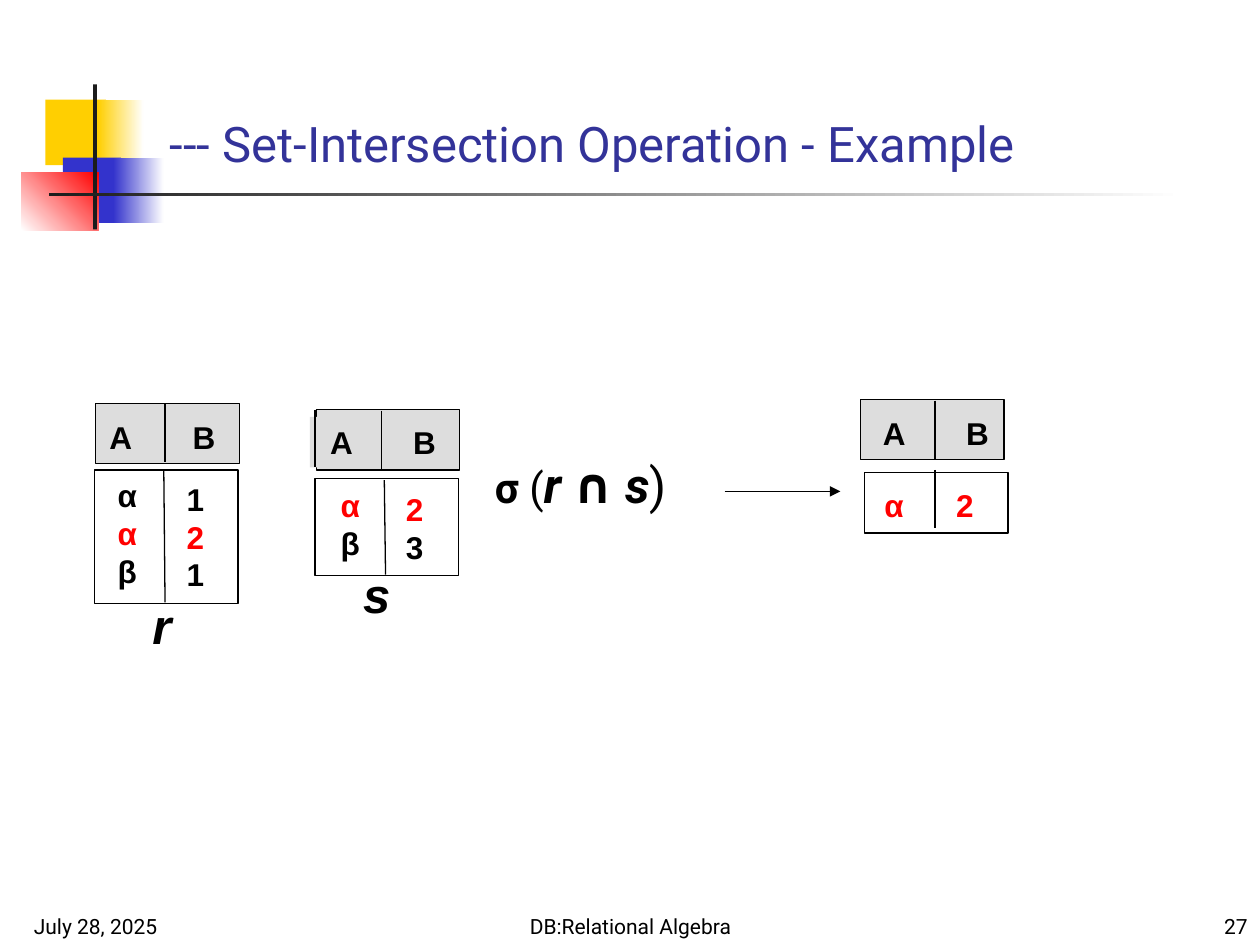
from lxml import etree
from pptx import Presentation
from pptx.dml.color import RGBColor
from pptx.enum import shapes, text
from pptx.oxml.ns import qn
from pptx.util import Inches, Pt

BLACK, WHITE, GRAY, RED = "000000", "FFFFFF", "DDDDDD", "FF0000"
YELLOW, BLUE, DARK, TITLE = "FFCF01", "3333CC", "1C1C1C", "333399"
LEFT, CENTER, RIGHT = text.PP_ALIGN.LEFT, text.PP_ALIGN.CENTER, text.PP_ALIGN.RIGHT
CELL_W, HEAD_H = 1.14, 0.48

# box, start colour, end colour (None for a solid fill), angle
ORNAMENTS = [
    ((0.36, 0.79, 0.48, 0.52), YELLOW, None, 0),
    ((0.78, 0.79, 0.36, 0.52), YELLOW, WHITE, 0),
    ((0.5, 1.25, 0.46, 0.52), BLUE, None, 0),
    ((0.9, 1.25, 0.4, 0.52), BLUE, WHITE, 0),
    ((0.17, 1.37, 0.61, 0.46), WHITE, RED, 45),
    ((0.74, 0.67, 0.03, 1.15), DARK, None, 0),
    ((0.39, 1.53, 9, 0.03), DARK, WHITE, 0),
]
FOOTERS = [
    ("July 28, 2025", 0.17, 2.08, LEFT),
    ("DB:Relational Algebra", 3.42, 3.17, CENTER),
    ("27", 7.92, 2.08, RIGHT),
]
# head and body corners, label box, left inset and divider position
RELATIONS = [
    dict(head=(0.76, 3.2), label=(0.77, 3.27, 1.04, 0.4), inset=0.1, divider=1.31,
         body=(0.75, 3.73), body_h=1.06,
         columns=[((0.83, 3.73, 0.36), [("α", BLACK), ("α", RED), ("β", BLACK)]),
                  ((1.38, 3.76, 0.34), [("1", BLACK), ("2", RED), ("1", BLACK)])],
         name=("r", (1.11, 4.68, 0.35, 0.57))),
    dict(head=(2.51, 3.25), label=(2.46, 3.31, 1.11, 0.4), inset=0.16, divider=3.03,
         body=(2.5, 3.8), body_h=0.77,
         columns=[((2.6, 3.81, 0.36), [("α", RED), ("β", BLACK)]),
                  ((3.12, 3.84, 0.34), [("2", RED), ("3", BLACK)])],
         name=("s", (2.78, 4.43, 0.42, 0.57))),
]
RESULT = dict(head=(6.83, 3.17), label=(6.91, 3.24, 1.04, 0.4), inset=0.1,
              divider=7.42, body=(6.86, 3.75), row=(6.92, 3.81, 0.91, 0.4))
# text, size, bold, italic
EXPRESSION = [("σ", 24, True, False), (" (", 24, False, False), ("r ", 28, True, True),
              ("∩ ", 28, True, False), ("s", 28, True, True), (")", 28, False, False)]

prs = Presentation()
prs.slide_width, prs.slide_height = Inches(10), Inches(7.5)
s = prs.slides.add_slide(prs.slide_layouts[6])


def rgb(color):
    return RGBColor.from_string(color)


def add_rect(box, fill, line=None):
    sp = s.shapes.add_shape(shapes.MSO_SHAPE.RECTANGLE, *map(Inches, box))
    sp.shadow.inherit = False
    sp.fill.solid()
    sp.fill.fore_color.rgb = rgb(fill)
    if line:
        sp.line.color.rgb = rgb(line)
        sp.line.width = Pt(0.75)
    else:
        sp.line.fill.background()
    return sp


def add_line(x1, y1, x2, y2, arrow=False):
    c = s.shapes.add_connector(shapes.MSO_CONNECTOR.STRAIGHT, *map(Inches, (x1, y1, x2, y2)))
    c.line.color.rgb = rgb(BLACK)
    c.line.width = Pt(0.75)
    if arrow:
        etree.SubElement(c.line._get_or_add_ln(), qn("a:tailEnd"), type="triangle")
    etree.SubElement(c._element.spPr, qn("a:effectLst"))


def style(r, size, color, font="Arial", bold=True, italic=False):
    r.font.size, r.font.name = Pt(size), font
    r.font.bold, r.font.italic = bold, italic
    r.font.color.rgb = rgb(color)


def add_text(box, lines, size, font="Arial", bold=True, italic=False, align=CENTER,
             anchor=text.MSO_ANCHOR.TOP, wrap=False):
    """Add a text box; lines is a list of (text, colour) paragraphs."""
    sp = s.shapes.add_textbox(*map(Inches, box))
    tf = sp.text_frame
    tf.word_wrap, tf.vertical_anchor = wrap, anchor
    for i, (words, color) in enumerate(lines):
        p = tf.add_paragraph() if i else tf.paragraphs[0]
        p.text, p.alignment = words, align
        style(p.runs[0], size, color, font, bold, italic)
    return sp


def add_row(box, words, color, tab, inset=0.1, fill=None):
    """Add two column entries in one box, the second at a tab stop."""
    sp = add_text(box, [("\t".join(words), color)], 18, align=LEFT, wrap=True)
    sp.text_frame.margin_left = Inches(inset)
    sp.text_frame.margin_right = 0
    if fill:
        sp.fill.solid()
        sp.fill.fore_color.rgb = rgb(fill)
    tabs = etree.SubElement(sp.text_frame.paragraphs[0]._p.get_or_add_pPr(), qn("a:tabLst"))
    etree.SubElement(tabs, qn("a:tab"), pos=str(Inches(tab)), algn="l")


def add_head(rel):
    add_rect((*rel["head"], CELL_W, HEAD_H), GRAY, BLACK)
    add_row(rel["label"], "AB", BLACK, 0.66, rel["inset"], GRAY)
    top = rel["head"][1] + 0.01
    add_line(rel["divider"], top, rel["divider"], top + 0.46)


for box, start, end, angle in ORNAMENTS:
    sp = add_rect(box, start)
    if end:
        sp.fill.gradient()
        sp.fill.gradient_angle = angle
        for stop, color, position in zip(sp.fill.gradient_stops, (start, end), (0, 1)):
            stop.color.rgb, stop.position = rgb(color), position

for words, x, w, align in FOOTERS:
    add_text((x, 7.08, w, 0.42), [(words, BLACK)], 12, "Roboto", False, align=align,
             anchor=text.MSO_ANCHOR.BOTTOM, wrap=True)
add_text((1.25, 0.75, 8.52, 0.67), [("--- Set-Intersection Operation - Example", TITLE)],
         28, "Roboto", False, align=LEFT, anchor=text.MSO_ANCHOR.BOTTOM, wrap=True)

for rel in RELATIONS:
    add_head(rel)
    x, y = rel["body"]
    add_rect((x, y, CELL_W, rel["body_h"]), WHITE, BLACK)
    add_line(x + 0.55, y + 0.01, x + 0.56, y + rel["body_h"] - 0.01)
    for corner, values in rel["columns"]:
        add_text((*corner, 0.1 + 0.3 * len(values)), values, 18)
    name, box = rel["name"]
    add_text(box, [(name, BLACK)], 28, italic=True)
add_line(2.5, 3.25, 2.5, 3.71)

add_head(RESULT)
add_rect((*RESULT["body"], CELL_W, HEAD_H), WHITE, BLACK)
add_row(RESULT["row"], "α2", RED, 0.57)
add_line(RESULT["divider"], 3.73, RESULT["divider"], 4.19)

tf = s.shapes.add_textbox(*map(Inches, (3.83, 3.56, 1.83, 0.57))).text_frame
tf.word_wrap = True
for words, size, bold, italic in EXPRESSION:
    r = tf.paragraphs[0].add_run()
    r.text = words
    style(r, size, BLACK, "Roboto", bold, italic)
add_line(5.75, 3.9, 6.67, 3.9, arrow=True)

prs.save("out.pptx")
